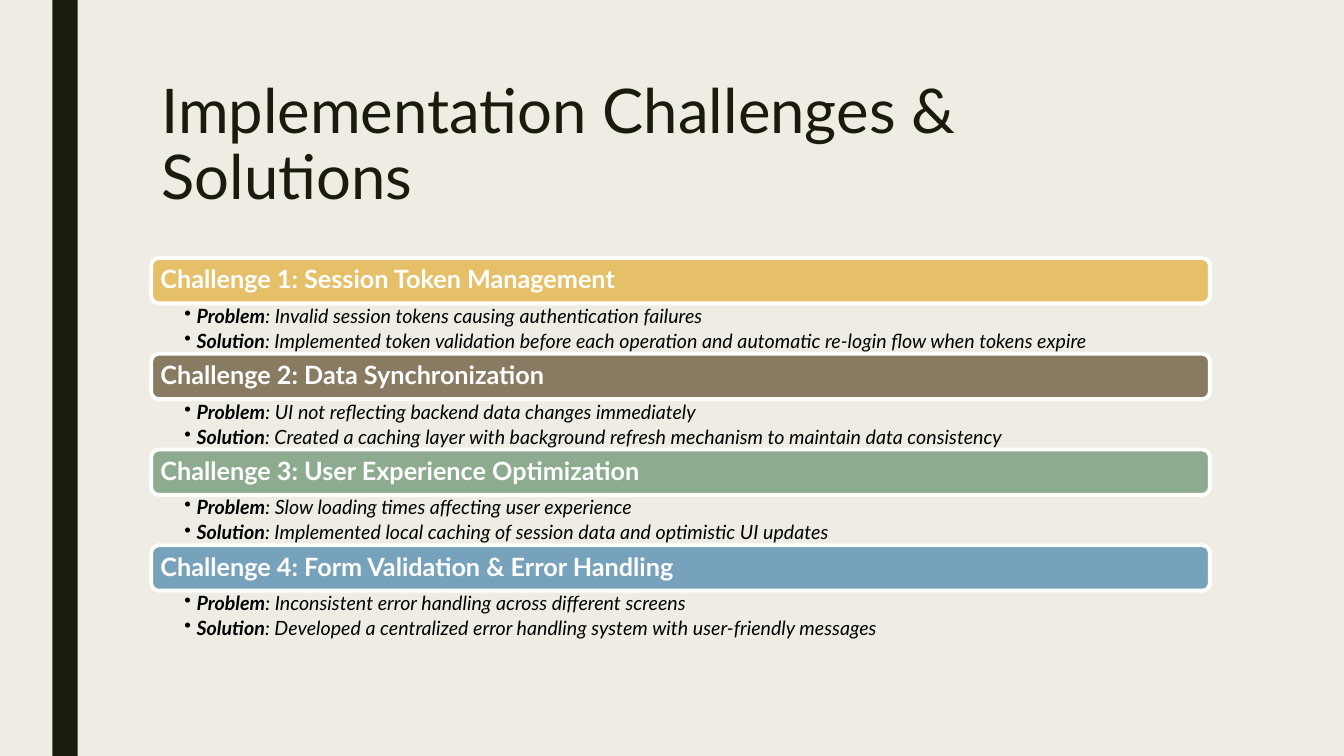
"""Build a slide listing four implementation challenges with their solutions."""
import pptx
import pptx.dml.color
import pptx.enum.shapes
import pptx.enum.text
import pptx.oxml.ns
import pptx.util
from lxml import etree

Inches, Pt = pptx.util.Inches, pptx.util.Pt
ANCHOR = pptx.enum.text.MSO_ANCHOR
SHAPE = pptx.enum.shapes.MSO_SHAPE
LEFT, WIDTH = Inches(1.5), Inches(10.5)
FIRST_TOP, HEADING_HEIGHT, DETAIL_HEIGHT = Inches(2.56), Inches(0.45), Inches(0.5)

CHALLENGES = [
    ("Session Token Management", "E6C069",
     "Invalid session tokens causing authentication failures",
     "Implemented token validation before each operation and automatic re-login flow when tokens expire"),
    ("Data Synchronization", "897B61",
     "UI not reflecting backend data changes immediately",
     "Created a caching layer with background refresh mechanism to maintain data consistency"),
    ("User Experience Optimization", "8DAB8E",
     "Slow loading times affecting user experience",
     "Implemented local caching of session data and optimistic UI updates"),
    ("Form Validation & Error Handling", "77A2BB",
     "Inconsistent error handling across different screens",
     "Developed a centralized error handling system with user-friendly messages"),
]


def paint(fill, color):
    fill.solid()
    fill.fore_color.rgb = pptx.dml.color.RGBColor.from_string(color)


def style(paragraph, size, color, spacing):
    paragraph.alignment = pptx.enum.text.PP_ALIGN.LEFT
    paragraph.line_spacing = spacing
    for run in paragraph.runs:
        run.font.name = "Lato"
        run.font.size = Pt(size)
        paint(run.font.fill, color)


deck = pptx.Presentation()
deck.slide_width, deck.slide_height = Inches(13.33), Inches(7.5)
slide = deck.slides.add_slide(deck.slide_layouts[5])
paint(slide.background.fill, "EFEDE3")

spine = slide.shapes.add_shape(SHAPE.RECTANGLE, Inches(0.52), 0, Inches(0.25), deck.slide_height)
spine.shadow.inherit = False
paint(spine.fill, "191B0E")
spine.line.fill.background()

title = slide.shapes.title
title.left, title.top, title.width, title.height = LEFT, Inches(0.75), WIDTH, Inches(1.62)
title.text_frame.text = "Implementation Challenges & Solutions"
title.text_frame.vertical_anchor = ANCHOR.TOP
style(title.text_frame.paragraphs[0], 44, "191B0E", 0.89)

for index, (topic, color, problem, solution) in enumerate(CHALLENGES):
    top = FIRST_TOP + index * (HEADING_HEIGHT + DETAIL_HEIGHT)

    heading = slide.shapes.add_shape(SHAPE.ROUNDED_RECTANGLE, LEFT, top, WIDTH, HEADING_HEIGHT)
    heading.shadow.inherit = False
    paint(heading.fill, color)
    paint(heading.line.fill, "FFFFFF")
    heading.line.width = Pt(2.75)
    label = heading.text_frame
    label.text = f"Challenge {index + 1}: {topic}"
    label.vertical_anchor = ANCHOR.MIDDLE
    label.margin_left = label.margin_right = Inches(0.07)
    style(label.paragraphs[0], 18, "FFFFFF", 0.9)
    label.paragraphs[0].runs[0].font.bold = True

    details = slide.shapes.add_textbox(LEFT, top + HEADING_HEIGHT, WIDTH, DETAIL_HEIGHT).text_frame
    details.word_wrap = True
    details.margin_left, details.margin_right = Inches(0.33), Inches(0.14)
    details.margin_top = details.margin_bottom = Inches(0.03)
    details.add_paragraph()
    for point, lead, body in zip(details.paragraphs, ("Problem", "Solution"), (problem, solution)):
        point.text = lead
        point.add_run().text = f": {body}"
        style(point, 14, "000000", 0.9)
        point.space_after = Pt(2.8)
        point.font.italic = True
        for run, bold in zip(point.runs, (True, False)):
            run.font.bold, run.font.italic = bold, True
        properties = point._p.get_or_add_pPr()
        properties.set("marL", str(Inches(0.12)))
        properties.set("indent", str(Inches(-0.12)))
        bullet = etree.Element(pptx.oxml.ns.qn("a:buChar"), char="•")
        properties.find(pptx.oxml.ns.qn("a:spcAft")).addnext(bullet)

deck.save("out.pptx")
